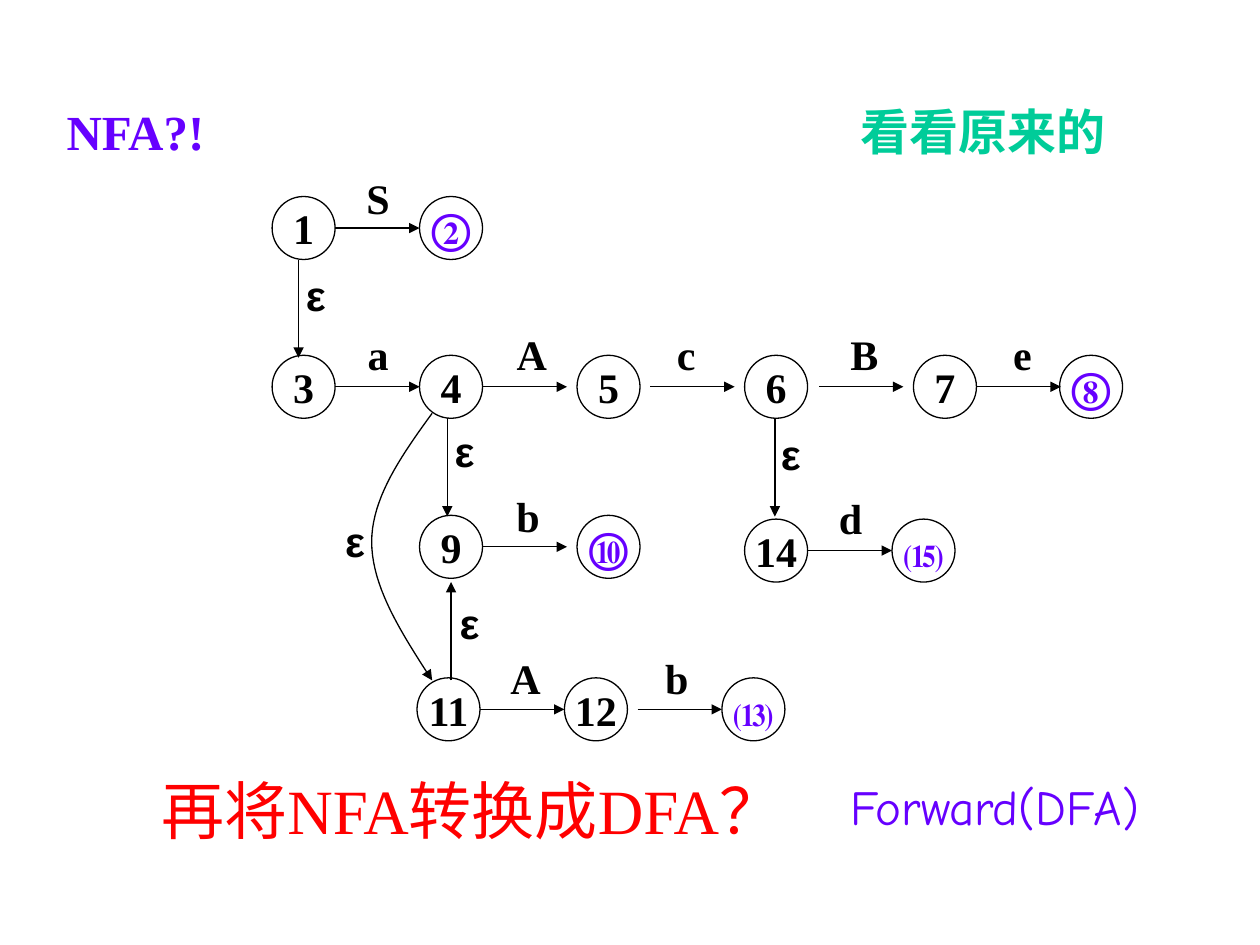
from lxml import etree
from pptx import Presentation
from pptx.dml.color import RGBColor
from pptx.enum.shapes import MSO_CONNECTOR as CONN, MSO_SHAPE as SHAPE
from pptx.enum.text import MSO_ANCHOR as ANCHOR, MSO_AUTO_SIZE as FIT, PP_ALIGN as ALIGN
from pptx.oxml.ns import qn
from pptx.util import Inches, Pt

BLACK, WHITE, VIOLET, GREEN, RED = "000000", "FFFFFF", "6600FF", "00CC99", "FF0000"
SERIF = "Times New Roman"
NODE_SIZE = 0.5
ARROW_LENGTH = 0.67
DROP_LENGTH = 0.78

NODE_ROWS = [
    (1.56, [("1", 2.16), ("②", 3.33)]),
    (2.82, [("3", 2.16), ("4", 3.33), ("5", 4.58), ("6", 5.91), ("7", 7.25), ("⑧", 8.41)]),
    (4.09, [("9", 3.33), ("⑩", 4.58)]),
    (4.12, [("14", 5.91), ("⒂", 7.08)]),
    (5.38, [("11", 3.31), ("12", 4.48), ("⒀", 5.73)]),
]
ARROW_ROWS = [
    (1.81, [2.66]),
    (3.07, [2.66, 3.83, 5.16, 6.5, 7.75]),
    (4.34, [3.83]),
    (4.37, [6.41]),
    (5.63, [3.81, 5.06]),
]
DROPS = [(2.37, 2.06), (3.55, 3.32), (6.15, 3.32)]
LABEL_ROWS = [
    (1.32, [("S", 2.81)]),
    (2.56, [("a", 2.82), ("A", 4), ("c", 5.27), ("B", 6.65), ("e", 7.94)]),
    (3.84, [("b", 4)]),
    (3.86, [("d", 6.56)]),
    (5.13, [("A", 3.95), ("b", 5.18)]),
]
LABEL_WIDTHS = {"S": 0.38, "a": 0.36, "A": 0.44, "B": 0.42, "b": 0.38,
                "c": 0.35, "d": 0.38, "e": 0.35}
EPSILONS = [(2.33, 2.09), (3.51, 3.33), (6.1, 3.35), (2.64, 4.04), (3.55, 4.69)]


def color(value):
    return RGBColor.from_string(value)


def write(sp, text, size, ink, bold=True, font=SERIF, align=ALIGN.CENTER, **frame):
    tf = sp.text_frame
    for name, value in frame.items():
        setattr(tf, name, value)
    p = tf.paragraphs[0]
    p.alignment = align
    r = p.add_run()
    r.text = text
    for name, value in {"name": font, "size": Pt(size), "bold": bold}.items():
        setattr(r.font, name, value)
    r.font.color.rgb = color(ink)


def add_text(s, box, text, size, ink, **style):
    sp = s.shapes.add_textbox(*map(Inches, box))
    write(sp, text, size, ink, **style)


def add_label(s, x, y, width, text, font=SERIF):
    add_text(s, (x, y, width, 0.5), text, 24, BLACK, font=font, word_wrap=False,
             vertical_anchor=ANCHOR.MIDDLE, auto_size=FIT.SHAPE_TO_FIT_TEXT)


def add_node(s, x, y, text):
    sp = s.shapes.add_shape(SHAPE.OVAL, *map(Inches, (x, y, NODE_SIZE, NODE_SIZE)))
    sp.shadow.inherit = False
    sp.fill.solid()
    sp.fill.fore_color.rgb = color(WHITE)
    outline(sp)
    ink = BLACK if text.isdecimal() else VIOLET
    write(sp, text, 24, ink, word_wrap=False, vertical_anchor=ANCHOR.MIDDLE)


def outline(sp):
    sp.line.color.rgb = color(BLACK)
    sp.line.width = Pt(0.75)


def add_arrowhead(sp):
    outline(sp)
    etree.SubElement(sp.line._get_or_add_ln(), qn("a:tailEnd"), type="triangle")


def add_arrow(s, x1, y1, x2, y2):
    sp = s.shapes.add_connector(CONN.STRAIGHT, *map(Inches, (x1, y1, x2, y2)))
    add_arrowhead(sp)
    etree.SubElement(sp._element.spPr, qn("a:effectLst"))


def bezier(points, steps=20):
    (x0, y0), (x1, y1), (x2, y2), (x3, y3) = points
    for i in range(1, steps + 1):
        t = i / steps
        a, b, c, d = (1 - t) ** 3, 3 * t * (1 - t) ** 2, 3 * t * t * (1 - t), t ** 3
        yield (Inches(a * x0 + b * x1 + c * x2 + d * x3),
               Inches(a * y0 + b * y1 + c * y2 + d * y3))


def add_curved_arrow(s, *curves):
    start_x, start_y = curves[0][0]
    builder = s.shapes.build_freeform(Inches(start_x), Inches(start_y))
    for curve in curves:
        builder.add_line_segments(bezier(curve), close=False)
    sp = builder.convert_to_shape()
    sp.shadow.inherit = False
    sp.fill.background()
    add_arrowhead(sp)


def add_captions(s):
    grow = {"word_wrap": True, "auto_size": FIT.SHAPE_TO_FIT_TEXT, "align": ALIGN.LEFT}
    add_text(s, (0.43, 0.76, 1.42, 0.57), "NFA?!", 28, VIOLET, **grow)
    add_text(s, (6.73, 0.76, 2.2, 0.57), "看看原来的", 28, GREEN, **grow)
    add_text(s, (0.83, 6.03, 5.83, 0.79), "再将NFA转换成DFA？", 36, RED, bold=False,
             word_wrap=True, vertical_anchor=ANCHOR.MIDDLE)
    add_text(s, (6.65, 6.11, 2.91, 0.57), "Forward(DFA)", 28, VIOLET, bold=False,
             font="Comic Neue", **grow)


def main():
    prs = Presentation()
    prs.slide_width, prs.slide_height = Inches(10), Inches(7.5)
    s = prs.slides.add_slide(prs.slide_layouts[6])
    for y, nodes in NODE_ROWS:
        for text, x in nodes:
            add_node(s, x, y, text)
    for y, starts in ARROW_ROWS:
        for x in starts:
            add_arrow(s, x, y, x + ARROW_LENGTH, y)
    for x, y in DROPS:
        add_arrow(s, x, y, x, y + DROP_LENGTH)
    add_arrow(s, 3.58, 5.4, 3.58, 5.4 - DROP_LENGTH)
    add_curved_arrow(s, [(3.43, 3.28), (3.19, 3.61), (2.95, 3.95), (2.95, 4.3)],
                     [(2.95, 4.3), (2.95, 4.66), (3.19, 5.03), (3.43, 5.4)])
    for y, labels in LABEL_ROWS:
        for text, x in labels:
            add_label(s, x, y, LABEL_WIDTHS[text], text)
    for x, y in EPSILONS:
        add_label(s, x, y, 0.34, "ε", "Arial")
    add_captions(s)
    prs.save("out.pptx")


if __name__ == "__main__":
    main()
